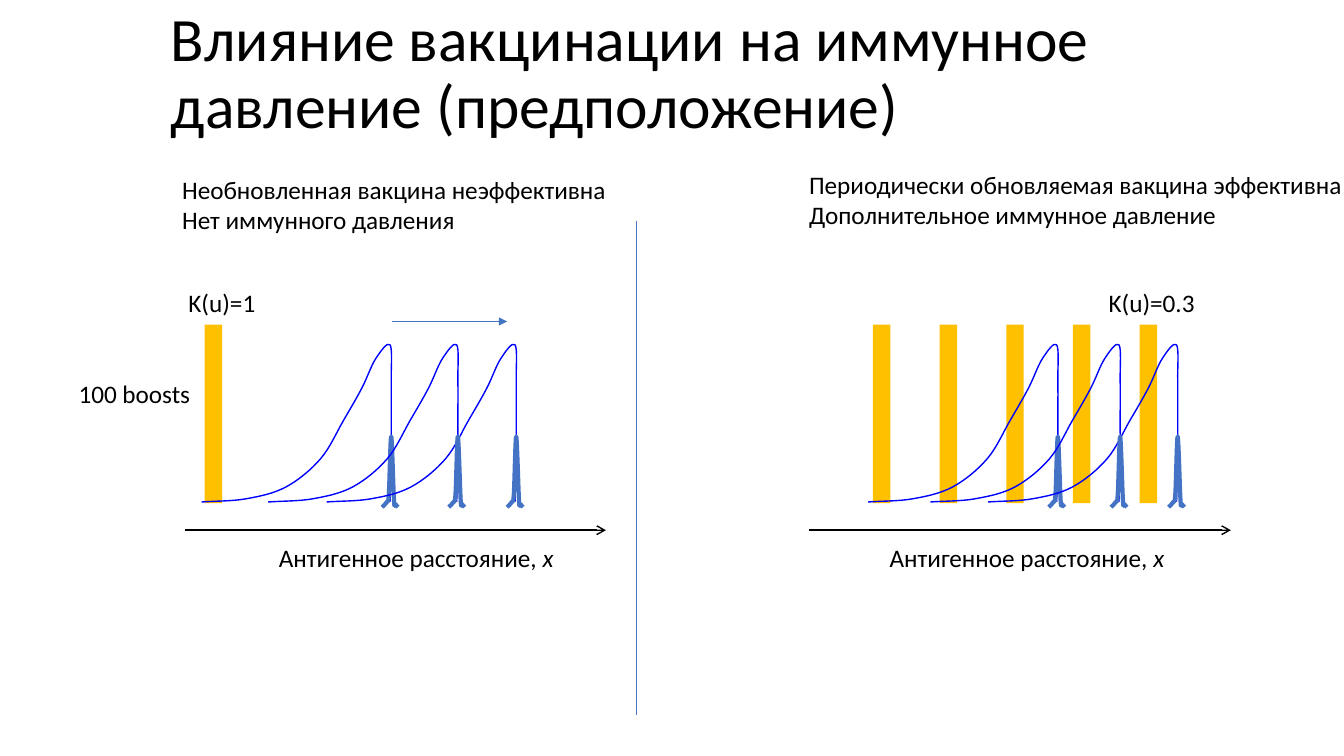
from lxml import etree
from pptx import Presentation
from pptx.dml.color import RGBColor
from pptx.enum import shapes, text
from pptx.oxml import ns
from pptx.util import Cm, Pt

BLACK = RGBColor(0x00, 0x00, 0x00)
AMBER = RGBColor(0xFF, 0xC0, 0x00)
BLUE = RGBColor(0x00, 0x00, 0xFF)
STEEL = RGBColor(0x44, 0x72, 0xC4)

WAVE = [(0, 12.65), (1.12, 12.57), (2.13, 12.27), (3, 11.56), (3.58, 10.59),
        (4.04, 9.78), (4.39, 9.04), (4.75, 8.69), (4.78, 9.58), (4.78, 10.64),
        (4.78, 11.58), (4.75, 12.65)]
TAIL = [(4.55, 12.78), (4.67, 12.65), (4.72, 12.45), (4.78, 11),
        (4.85, 12.6), (4.88, 12.7), (4.95, 12.78)]
WAVE_LEFTS = [5.08, 8.23, 21.88, 24.9, 6.76, 23.45]
BAR_LEFTS = [5.16] + [22 + 1.68 * i for i in range(5)]


def add_text(page, left, top, width, height, lines, size=18, **frame_format):
    """Add a text box; each line is a list of (words, italic) spans."""
    box = page.shapes.add_textbox(Cm(left), Cm(top), Cm(width), Cm(height))
    frame = box.text_frame
    settings = {"word_wrap": False, "auto_size": text.MSO_AUTO_SIZE.SHAPE_TO_FIT_TEXT}
    for name, value in (settings | frame_format).items():
        setattr(frame, name, value)
    for index, spans in enumerate(lines):
        para = frame.add_paragraph() if index else frame.paragraphs[0]
        for words, italic in spans:
            span = para.add_run()
            span.text = words
            font_format = {"name": "Calibri", "size": Pt(size), "italic": italic}
            for name, value in font_format.items():
                setattr(span.font, name, value)
            span.font.color.rgb = BLACK
    return box


def add_bar(page, left):
    """Add one amber vaccination bar."""
    bar = page.shapes.add_shape(shapes.MSO_SHAPE.RECTANGLE,
                                Cm(left), Cm(8.18), Cm(0.44), Cm(4.5))
    bar.shadow.inherit = False
    bar.fill.solid()
    bar.fill.fore_color.rgb = AMBER
    bar.line.fill.background()


def add_line(page, start, end, color, width, head=None):
    """Add a straight line with an optional arrowhead at its end."""
    line = page.shapes.add_connector(shapes.MSO_CONNECTOR.STRAIGHT,
                                     *(Cm(value) for value in start + end))
    line.line.color.rgb = color
    line.line.width = Pt(width)
    if head:
        etree.SubElement(line.line._get_or_add_ln(), ns.qn("a:tailEnd"), type=head)
    etree.SubElement(line._element.spPr, ns.qn("a:effectLst"))


def bezier_controls(knots):
    """Return the two control points of every span of a smooth spline."""
    def mirror(end, inner):
        return tuple(2 * a - b for a, b in zip(end, inner))

    padded = [mirror(knots[0], knots[1]), *knots, mirror(knots[-1], knots[-2])]
    return [([b + (c - a) / 6 for a, b, c in zip(p, q, r)],
             [c - (d - b) / 6 for b, c, d in zip(q, r, s)])
            for p, q, r, s in zip(padded, padded[1:], padded[2:], padded[3:])]


def add_curve(page, left, points, color, width):
    """Add a smooth open curve through points shifted right by left."""
    knots = [(Cm(left + x), Cm(y)) for x, y in points]
    builder = page.shapes.build_freeform(*knots[0], scale=1.0)
    builder.add_line_segments(knots[1:], close=False)
    curve = builder.convert_to_shape()
    segments = curve._element.findall(".//" + ns.qn("a:lnTo"))
    for segment, controls in zip(segments, bezier_controls(knots)):
        segment.tag = ns.qn("a:cubicBezTo")
        for index, (x, y) in enumerate(controls):
            point = etree.Element(ns.qn("a:pt"), x=str(round(x - curve.left)),
                                  y=str(round(y - curve.top)))
            segment.insert(index, point)
    curve.shadow.inherit = False
    curve.fill.background()
    curve.line.color.rgb = color
    curve.line.width = Pt(width)


def add_axis(page, left, label_left):
    """Add the antigenic distance axis and its label."""
    add_line(page, (left, 13.36), (left + 10.62, 13.36), BLACK, 1, "arrow")
    add_text(page, label_left, 13.54, 7.52, 1.02,
             [[("Антигенное расстояние, ", None), ("x", True)]])


def main():
    """Build and save the slide."""
    deck = Presentation()
    deck.slide_width, deck.slide_height = Cm(33.87), Cm(19.05)
    page = deck.slides.add_slide(deck.slide_layouts[6])
    for left in BAR_LEFTS:
        add_bar(page, left)
    title = add_text(page, 4.06, 0.05, 29.21, 3.68,
                     [[("Влияние вакцинации на иммунное давление (предположение)", None)]],
                     size=44, word_wrap=True, auto_size=text.MSO_AUTO_SIZE.NONE,
                     vertical_anchor=text.MSO_ANCHOR.MIDDLE)
    title.text_frame.paragraphs[0].line_spacing = 0.9
    add_line(page, (16.03, 5.56), (16.03, 18.01), STEEL, 0.5)
    labels = [
        (4.34, 4.27, 11.3, 1.8, "Необновленная вакцина неэффективна", "Нет иммунного давления"),
        (20.14, 4.14, 14.1, 1.8, "Периодически обновляемая вакцина эффективна",
         "Дополнительное иммунное давление"),
        (4.5, 7.11, 2.24, 1.02, "K(u)=1"),
        (27.69, 7.11, 2.72, 1.02, "K(u)=0.3"),
        (1.73, 9.4, 3.35, 1.02, "100 boosts"),
    ]
    for left, top, width, height, *lines in labels:
        add_text(page, left, top, width, height, [[(line, None)] for line in lines])
    add_axis(page, 4.65, 6.78)
    add_axis(page, 20.4, 22.17)
    add_line(page, (9.88, 8.1), (12.78, 8.1), STEEL, 0.5, "triangle")
    for left in WAVE_LEFTS:
        add_curve(page, left, WAVE, BLUE, 1)
        add_curve(page, left, TAIL, STEEL, 3)
    deck.save("out.pptx")


if __name__ == "__main__":
    main()
